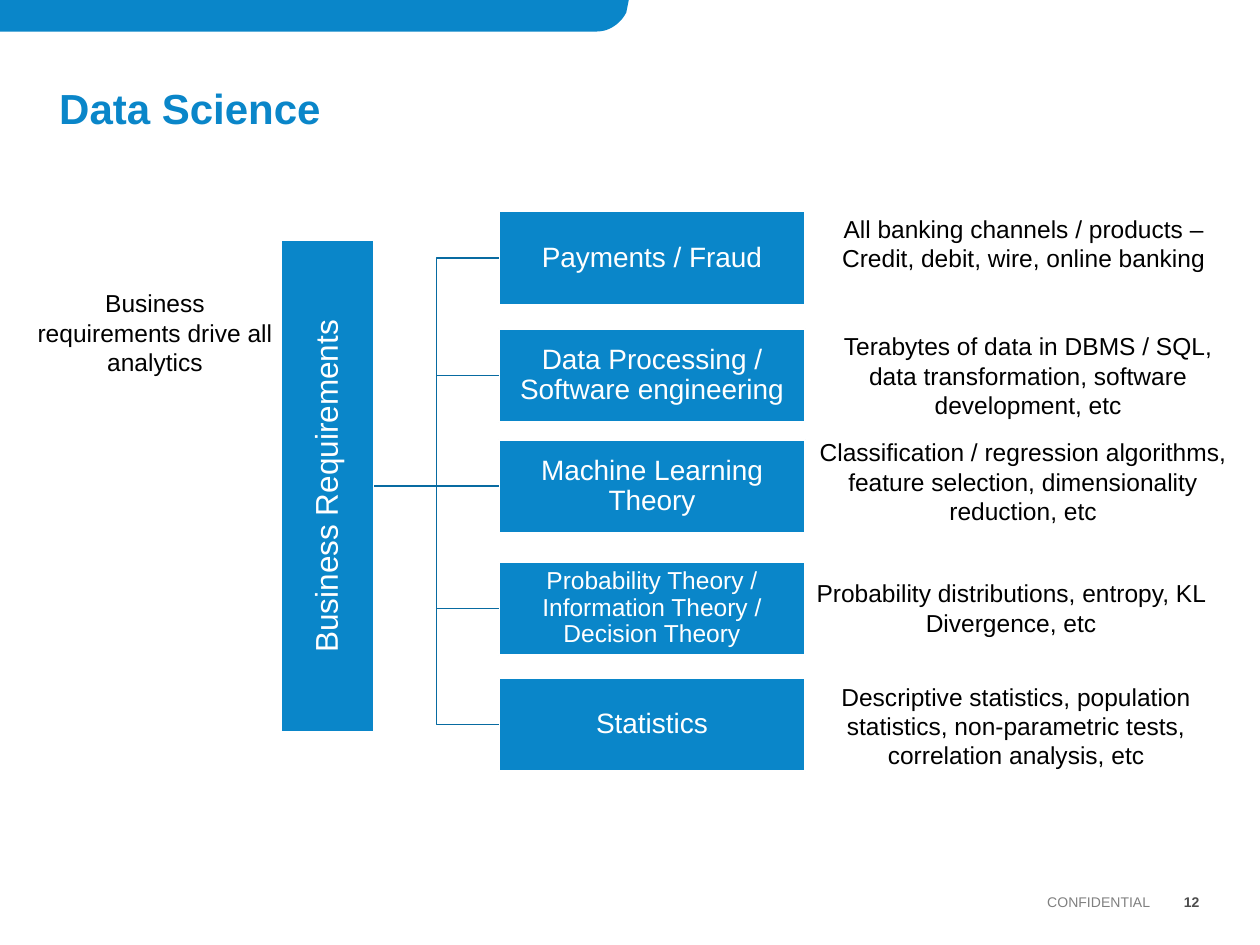
from dataclasses import dataclass

from pptx import Presentation
from pptx.dml.color import RGBColor
from pptx.enum.shapes import MSO_CONNECTOR, MSO_SHAPE
from pptx.enum.text import MSO_ANCHOR, MSO_AUTO_SIZE, PP_ALIGN
from pptx.oxml.ns import qn
from pptx.util import Inches, Pt

ELBOW, STRAIGHT = MSO_CONNECTOR.ELBOW, MSO_CONNECTOR.STRAIGHT
RECTANGLE = MSO_SHAPE.RECTANGLE
MIDDLE, BOTTOM, TOP = MSO_ANCHOR.MIDDLE, MSO_ANCHOR.BOTTOM, MSO_ANCHOR.TOP
LEFT, CENTER, RIGHT = PP_ALIGN.LEFT, PP_ALIGN.CENTER, PP_ALIGN.RIGHT
GROW = MSO_AUTO_SIZE.SHAPE_TO_FIT_TEXT
LEFT_SIDE, RIGHT_SIDE = 1, 3


@dataclass(frozen=True)
class Theme:
    font: str = "Arial"
    blue: str = "0A86C9"
    line: str = "086BA1"
    white: str = "FFFFFF"
    black: str = "000000"
    number: str = "4D4D4D"
    footer: str = "808080"
    title_size: int = 24
    root_size: int = 18
    topic_size: int = 16
    note_size: int = 14
    footer_size: int = 8
    line_width: int = 1


class SlideBuilder:
    def __init__(self, page, theme):
        self.page = page
        self.theme = theme

    def set_text(self, frame, text, size, color, align, anchor,
                 inset=None, bold=False, spacing=None):
        frame.word_wrap = True
        frame.vertical_anchor = anchor
        if inset is not None:
            frame.margin_left = frame.margin_right = Inches(inset)
            frame.margin_top = frame.margin_bottom = Inches(inset)
        frame.text = text
        para = frame.paragraphs[0]
        para.alignment = align
        if spacing:
            para.line_spacing = spacing
        font = para.runs[0].font
        font.name, font.size, font.bold = self.theme.font, Pt(size), bold
        font.color.rgb = RGBColor.from_string(color)

    def label(self, place, text, size, color, align=LEFT, anchor=MIDDLE, **style):
        box = self.page.shapes.add_textbox(*map(Inches, place))
        self.set_text(box.text_frame, text, size, color, align, anchor, inset=0, **style)

    def note(self, place, text):
        box = self.page.shapes.add_textbox(*map(Inches, place))
        self.set_text(box.text_frame, text, self.theme.note_size, self.theme.black, CENTER, TOP)
        box.text_frame.auto_size = GROW

    def block(self, place, text, size, direction=None):
        box = self.page.shapes.add_shape(RECTANGLE, *map(Inches, place))
        box.shadow.inherit = False
        box.fill.solid()
        box.fill.fore_color.rgb = RGBColor.from_string(self.theme.blue)
        box.line.color.rgb = RGBColor.from_string(self.theme.white)
        box.line.width = Pt(self.theme.line_width)
        self.set_text(box.text_frame, text, size, self.theme.white, CENTER, MIDDLE,
                      inset=0.01, spacing=0.9)
        if direction:
            box.element.txBody.bodyPr.set("vert", direction)
        return box

    def branch(self, kind, root, topic):
        link = self.page.shapes.add_connector(kind, 0, 0, 0, 0)
        link.begin_connect(root, RIGHT_SIDE)
        link.end_connect(topic, LEFT_SIDE)
        link.line.color.rgb = RGBColor.from_string(self.theme.line)
        link.line.width = Pt(self.theme.line_width)
        properties = link.element.spPr
        properties.append(properties.makeelement(qn("a:effectLst"), {}))

    def banner(self, points):
        start, *rest = [(Inches(x), Inches(y)) for x, y in points]
        outline = self.page.shapes.build_freeform(*start)
        outline.add_line_segments(rest, close=True)
        shape = outline.convert_to_shape()
        shape.shadow.inherit = False
        shape.fill.solid()
        shape.fill.fore_color.rgb = RGBColor.from_string(self.theme.blue)
        shape.line.fill.background()


def curve(start, pull, push, end, steps=16):
    for step in range(steps + 1):
        t = step / steps
        weights = ((1 - t) ** 3, 3 * t * (1 - t) ** 2, 3 * t ** 2 * (1 - t), t ** 3)
        yield tuple(sum(w * v for w, v in zip(weights, values))
                    for values in zip(start, pull, push, end))


def main():
    deck = Presentation()
    deck.slide_width, deck.slide_height = Inches(10), Inches(7.5)
    theme = Theme()
    builder = SlideBuilder(deck.slides.add_slide(deck.slide_layouts[6]), theme)

    corner = curve((4.97, 0.1), (4.93, 0.18), (4.84, 0.25), (4.74, 0.25))
    builder.banner([(0, 0), (4.99, 0), *corner, (0, 0.25)])
    builder.label((9.13, 7.06, 0.39, 0.2), "12", theme.footer_size, theme.number, RIGHT, bold=True)
    builder.label((1.89, 7.06, 7.24, 0.2), "CONFIDENTIAL", theme.footer_size, theme.footer, RIGHT)
    builder.label((0.47, 0.59, 9.06, 0.47), "Data Science", theme.title_size, theme.blue,
                  anchor=BOTTOM, bold=True, spacing=0.9)

    builder.note((0.17, 2.24, 2.12, 0.81), "Business requirements drive all analytics")
    root = builder.block((2.23, 1.91, 0.74, 3.9), "Business Requirements",
                         theme.root_size, direction="vert270")

    topics = [
        (1.68, "Payments / Fraud", theme.topic_size, ELBOW, (6.35, 1.65, 3.55, 0.57),
         "All banking channels / products – Credit, debit, wire, online banking"),
        (2.61, "Data Processing / Software engineering", theme.topic_size, ELBOW,
         (6.42, 2.58, 3.48, 0.81),
         "Terabytes of data in DBMS / SQL, data transformation, software development, etc"),
        (3.49, "Machine Learning Theory", theme.topic_size, STRAIGHT, (6.24, 3.42, 3.76, 0.81),
         "Classification / regression algorithms, feature selection, "
         "dimensionality reduction, etc"),
        (4.46, "Probability Theory / Information Theory / Decision Theory", theme.note_size, ELBOW,
         (6.27, 4.54, 3.51, 0.57), "Probability distributions, entropy, KL Divergence, etc"),
        (5.38, "Statistics", theme.topic_size, ELBOW, (6.21, 5.36, 3.71, 0.81),
         "Descriptive statistics, population statistics, non-parametric tests, "
         "correlation analysis, etc"),
    ]
    for top, name, size, kind, note_place, note in topics:
        topic = builder.block((3.96, top, 2.43, 0.74), name, size)
        builder.branch(kind, root, topic)
        builder.note(note_place, note)

    deck.save("out.pptx")


if __name__ == "__main__":
    main()
